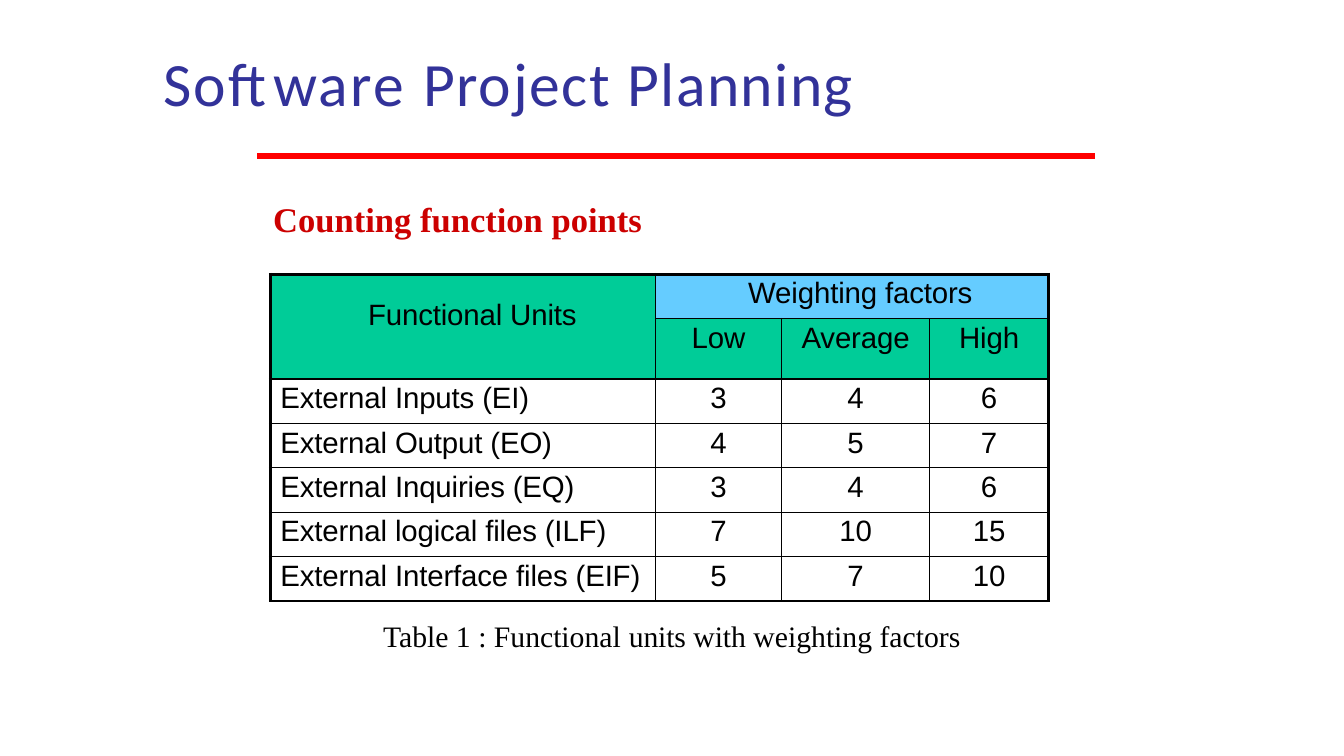
from dataclasses import dataclass

from lxml.etree import SubElement
from pptx import Presentation
from pptx.dml.color import RGBColor
from pptx.enum.shapes import MSO_CONNECTOR
from pptx.enum.text import MSO_ANCHOR, MSO_AUTO_SIZE, PP_ALIGN
from pptx.oxml.ns import qn
from pptx.util import Inches, Length, Pt

SLIDE_WIDTH = Inches(13.33)
SLIDE_HEIGHT = Inches(7.5)
BLACK, GREEN, BLUE = "000000", "00CC98", "65CCFF"
THIN, THICK = 1, 2.25


@dataclass
class Span:
    text: str
    spacing: float = 0


@dataclass
class Label:
    """A text box, placed in percent of the slide's width and height."""
    left: float
    top: float
    width: float
    height: float
    spans: list[Span]
    size: float
    font: str
    color: str
    bold: bool = False
    anchor: MSO_ANCHOR = MSO_ANCHOR.TOP


@dataclass
class HeaderCell:
    row: int
    column: int
    text: str
    fill: str
    rows: int = 1
    columns: int = 1
    indent: float | None = None
    top: float = 0.03
    before: float = 2.9


LABELS = [
    Label(20.25, 26, 27.68, 5.73, [Span("Counting function points")],
          24.7, "Times New Roman", "CC0000", bold=True),
    Label(28.43, 81.6, 43.21, 4.93,
          [Span("Table 1 : Functional "), Span("units ", -0.1), Span("with weighting factors")],
          21.2, "Times New Roman", BLACK),
    Label(12.08, 5.73, 53.19, 10,
          [Span("Software ", 1.7), Span("Project ", 1.2), Span("Planning", 1)],
          44, "Calibri", "323299", anchor=MSO_ANCHOR.MIDDLE),
]
TABLE_LEFT, TABLE_TOP = 20.11, 36.27
COLUMN_WIDTHS = [28.66, 9.38, 11.03, 8.85]
ROW_HEIGHTS = [5.87, 8] + [5.87] * 5
HEADERS = [
    HeaderCell(0, 0, "Functional Units", GREEN, rows=2, indent=0.97, top=0.25, before=20.8),
    HeaderCell(0, 1, "Weighting factors", BLUE, columns=3, indent=0.92),
    HeaderCell(1, 1, "Low", GREEN),
    HeaderCell(1, 2, "Average", GREEN),
    HeaderCell(1, 3, "High", GREEN),
]
UNITS = [
    ("External Inputs (EI)", 3, 4, 6),
    ("External Output (EO)", 4, 5, 7),
    ("External Inquiries (EQ)", 3, 4, 6),
    ("External logical files (ILF)", 7, 10, 15),
    ("External Interface files (EIF)", 5, 7, 10),
]


def across(percent: float) -> Length:
    return Length(round(SLIDE_WIDTH * percent / 100))


def down(percent: float) -> Length:
    return Length(round(SLIDE_HEIGHT * percent / 100))


def rgb(color: str) -> RGBColor:
    return RGBColor.from_string(color)


def write(para, spans: list[Span], *, size: float, font: str, color: str = BLACK,
          bold: bool = False, before: float = 0, indent: float | None = None) -> None:
    """Fill a paragraph; without an indent it is centred."""
    para.space_before = Pt(before)
    if indent is None:
        para.alignment = PP_ALIGN.CENTER
    else:
        para.alignment = PP_ALIGN.LEFT
        properties = para._p.get_or_add_pPr()
        properties.set("marL", str(Inches(indent)))
        properties.set("indent", "0")
    for span in spans:
        run = para.add_run()
        run.text = span.text
        run.font.size = Pt(size)
        run.font.name = font
        run.font.bold = bold
        run.font.color.rgb = rgb(color)
        run._r.get_or_add_rPr().set("spc", str(round(span.spacing * 100)))


def add_label(page, label: Label) -> None:
    box = page.shapes.add_textbox(across(label.left), down(label.top),
                                  across(label.width), down(label.height))
    frame = box.text_frame
    frame.word_wrap = True
    frame.auto_size = MSO_AUTO_SIZE.SHAPE_TO_FIT_TEXT
    frame.vertical_anchor = label.anchor
    frame.margin_left = frame.margin_right = frame.margin_bottom = 0
    frame.margin_top = Inches(0.01)
    write(frame.paragraphs[0], label.spans, size=label.size, font=label.font,
          color=label.color, bold=label.bold, before=0.8, indent=0.01)


def draw_borders(cell, row: int, column: int, rows: int, columns: int) -> None:
    """Thick on the outside of the table, thin within."""
    outside = {
        "a:lnL": column == 0,
        "a:lnR": column + columns == len(COLUMN_WIDTHS),
        "a:lnT": row == 0,
        "a:lnB": row + rows == len(ROW_HEIGHTS),
    }
    properties = cell._tc.get_or_add_tcPr()
    for tag, is_outside in outside.items():
        line = SubElement(properties, qn(tag), w=str(Pt(THICK if is_outside else THIN)))
        SubElement(SubElement(line, qn("a:solidFill")), qn("a:srgbClr"), val=BLACK)


def fill_cell(cell, text: str, *, indent: float | None = None, fill: str | None = None,
              top: float = 0.03, before: float = 2.9) -> None:
    cell.margin_left = cell.margin_right = cell.margin_bottom = 0
    cell.margin_top = Inches(top)
    if fill:
        cell.fill.solid()
        cell.fill.fore_color.rgb = rgb(fill)
    else:
        cell.fill.background()
    write(cell.text_frame.paragraphs[0], [Span(text, 0 if len(text) == 1 else -0.1)],
          size=21, font="Arial", before=before, indent=indent)


def add_weights_table(page) -> None:
    table = page.shapes.add_table(
        len(ROW_HEIGHTS), len(COLUMN_WIDTHS), across(TABLE_LEFT), down(TABLE_TOP),
        across(sum(COLUMN_WIDTHS)), down(sum(ROW_HEIGHTS))).table
    table.first_row = table.horz_banding = False
    for column, width in zip(table.columns, COLUMN_WIDTHS):
        column.width = across(width)
    for row, height in zip(table.rows, ROW_HEIGHTS):
        row.height = down(height)

    spans = {(header.row, header.column): (header.rows, header.columns) for header in HEADERS}
    for row in range(len(ROW_HEIGHTS)):
        for column in range(len(COLUMN_WIDTHS)):
            draw_borders(table.cell(row, column), row, column, *spans.get((row, column), (1, 1)))

    for header in HEADERS:
        cell = table.cell(header.row, header.column)
        if header.rows * header.columns > 1:
            cell.merge(table.cell(header.row + header.rows - 1,
                                  header.column + header.columns - 1))
        fill_cell(cell, header.text, indent=header.indent, fill=header.fill,
                  top=header.top, before=header.before)
    for row, (unit, *weights) in enumerate(UNITS, start=2):
        fill_cell(table.cell(row, 0), unit, indent=0.1)
        for column, weight in enumerate(weights, start=1):
            fill_cell(table.cell(row, column), str(weight))


def add_title_rule(page) -> None:
    rule = page.shapes.add_connector(MSO_CONNECTOR.STRAIGHT, across(19.13), down(20.67),
                                     across(81.47), down(20.67))
    rule.line.color.rgb = rgb("FF0000")
    rule.line.width = Pt(4.5)
    SubElement(rule._element.spPr, qn("a:effectLst"))


def main() -> None:
    deck = Presentation()
    deck.slide_width, deck.slide_height = SLIDE_WIDTH, SLIDE_HEIGHT
    page = deck.slides.add_slide(deck.slide_layouts[6])
    heading, caption, title = LABELS
    add_label(page, heading)
    add_weights_table(page)
    add_label(page, caption)
    add_label(page, title)
    add_title_rule(page)
    deck.save("out.pptx")


if __name__ == "__main__":
    main()
